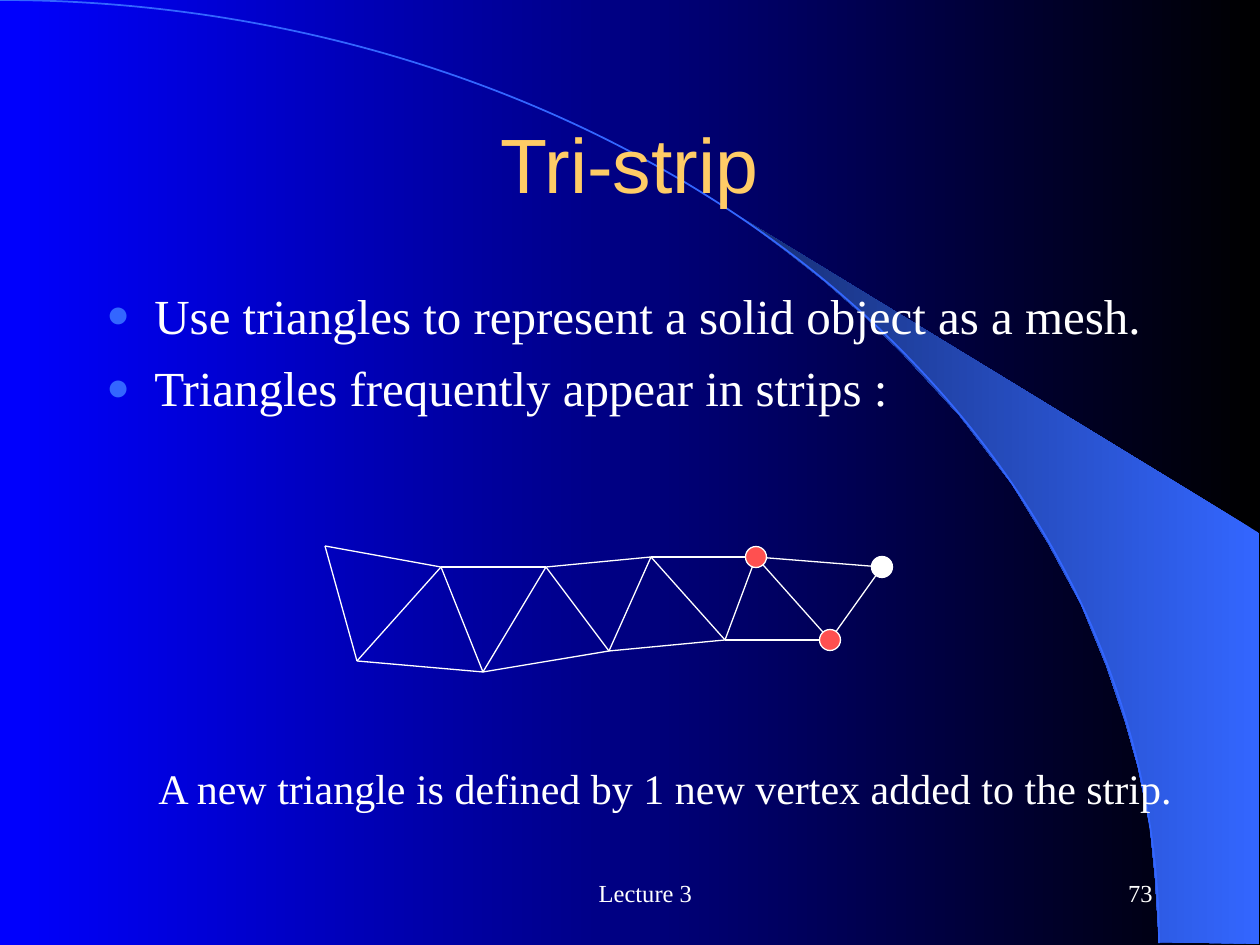
from dataclasses import dataclass

from lxml import etree
from pptx import Presentation, util as u
from pptx.dml.color import RGBColor
from pptx.enum import shapes, text
from pptx.oxml import ns

PX = 914400 / 126
COLORS = {
    "black": "000000",
    "blue": "0000FF",
    "sky": "3366FF",
    "navy": "172F75",
    "gold": "FFCC66",
    "white": "FFFFFF",
    "red": "FF5050",
}
WEDGE = [
    (1159, 942), (1259, 944), (1259, 533), (742, 218), (786, 251), (823, 280),
    (863, 315), (902, 353), (960, 416), (1012, 484), (1048, 543), (1081, 604),
    (1106, 665), (1125, 721), (1138, 767), (1150, 827), (1155, 877),
]
STRIP = [
    (325, 546), (357, 661), (441, 567), (483, 672), (546, 567), (609, 651),
    (651, 557), (725, 640), (756, 557), (830, 640), (882, 567),
]
DOT_SIZE = 21


@dataclass
class Label:
    box: tuple[int, int, int, int]
    lines: tuple[str, ...]
    size: int
    color: str = "white"
    font: str = "Times New Roman"
    align: text.PP_ALIGN = text.PP_ALIGN.LEFT
    anchor: text.MSO_ANCHOR = text.MSO_ANCHOR.TOP
    wrap: bool = True
    margin: int = 0
    bulleted: bool = False


@dataclass
class Vertex:
    center: tuple[int, int]
    color: str


LABELS = [
    Label((94, 84, 1071, 158), ("Tri-strip",), 44, "gold", "Arial",
          text.PP_ALIGN.CENTER, text.MSO_ANCHOR.MIDDLE),
    Label((94, 279, 1071, 187),
          ("Use triangles to represent a solid object as a mesh.",
           "Triangles frequently appear in strips :"),
          28, margin=48, bulleted=True),
    Label((146, 756, 1041, 63),
          ("A new triangle is defined by 1 new vertex added to the strip.",),
          24, wrap=False),
    Label((431, 861, 399, 63), ("Lecture 3",), 14, margin=30,
          align=text.PP_ALIGN.CENTER, anchor=text.MSO_ANCHOR.MIDDLE),
    Label((903, 861, 262, 63), ("73",), 14, margin=30,
          align=text.PP_ALIGN.RIGHT, anchor=text.MSO_ANCHOR.MIDDLE),
]
VERTICES = [
    Vertex(STRIP[10], "white"),
    Vertex(STRIP[9], "red"),
    Vertex(STRIP[8], "red"),
]


def emu(*lengths: int) -> list[u.Emu]:
    return [u.Emu(round(length * PX)) for length in lengths]


def rgb(name: str) -> RGBColor:
    return RGBColor.from_string(COLORS[name])


def fill_gradient(fill, start: str, end: str) -> None:
    fill.gradient()
    fill.gradient_angle = 180
    for stop, name in zip(fill.gradient_stops, (start, end)):
        stop.color.rgb = rgb(name)


def set_line(line, color: str, width: float) -> None:
    line.color.rgb = rgb(color)
    line.width = u.Pt(width)


def add_bullet(properties) -> None:
    color = etree.SubElement(properties, ns.qn("a:buClr"))
    etree.SubElement(color, ns.qn("a:srgbClr"), val=COLORS["sky"])
    etree.SubElement(properties, ns.qn("a:buSzPct"), val="80000")
    etree.SubElement(properties, ns.qn("a:buFont"), typeface="Times New Roman")
    etree.SubElement(properties, ns.qn("a:buChar"), char="●")


def draw_label(slide, label: Label) -> None:
    frame = slide.shapes.add_textbox(*emu(*label.box)).text_frame
    frame.word_wrap = label.wrap
    frame.vertical_anchor = label.anchor
    for index, line in enumerate(label.lines):
        paragraph = frame.add_paragraph() if index else frame.paragraphs[0]
        paragraph.alignment = label.align
        if index:
            paragraph.space_before = u.Pt(8)
        properties = paragraph._p.get_or_add_pPr()
        margin = emu(label.margin)[0]
        properties.set("marL", str(margin))
        properties.set("indent", str(-margin if label.bulleted else 0))
        if label.bulleted:
            add_bullet(properties)
        run = paragraph.add_run()
        run.text = line
        run.font.name = label.font
        run.font.size = u.Pt(label.size)
        run.font.color.rgb = rgb(label.color)


def draw_backdrop(slide) -> None:
    fill_gradient(slide.background.fill, "black", "blue")
    builder = slide.shapes.build_freeform(*WEDGE[0], scale=PX)
    builder.add_line_segments(WEDGE[1:], close=True)
    wedge = builder.convert_to_shape()
    wedge.shadow.inherit = False
    fill_gradient(wedge.fill, "sky", "navy")
    wedge.line.fill.background()
    arc = slide.shapes.add_shape(shapes.MSO_SHAPE.ARC, *emu(-1159, 0, 2318, 1886))
    arc.shadow.inherit = False
    arc.fill.background()
    set_line(arc.line, "sky", 1)


def draw_edge(slide, start: tuple[int, int], end: tuple[int, int]) -> None:
    edge = slide.shapes.add_connector(
        shapes.MSO_CONNECTOR.STRAIGHT, *emu(*start, *end))
    set_line(edge.line, "white", 0.75)
    etree.SubElement(edge._element.spPr, ns.qn("a:effectLst"))


def draw_vertex(slide, vertex: Vertex) -> None:
    x, y = vertex.center
    dot = slide.shapes.add_shape(
        shapes.MSO_SHAPE.OVAL,
        *emu(x - DOT_SIZE / 2, y - DOT_SIZE / 2, DOT_SIZE, DOT_SIZE))
    dot.shadow.inherit = False
    dot.fill.solid()
    dot.fill.fore_color.rgb = rgb(vertex.color)
    set_line(dot.line, "white", 0.75)


def main() -> None:
    deck = Presentation()
    deck.slide_width, deck.slide_height = emu(1260, 945)
    slide = deck.slides.add_slide(deck.slide_layouts[6])
    draw_backdrop(slide)
    for label in LABELS:
        draw_label(slide, label)
    for step in (1, 2):
        for start, end in zip(STRIP, STRIP[step:]):
            draw_edge(slide, start, end)
    for vertex in VERTICES:
        draw_vertex(slide, vertex)
    deck.save("out.pptx")


if __name__ == "__main__":
    main()
